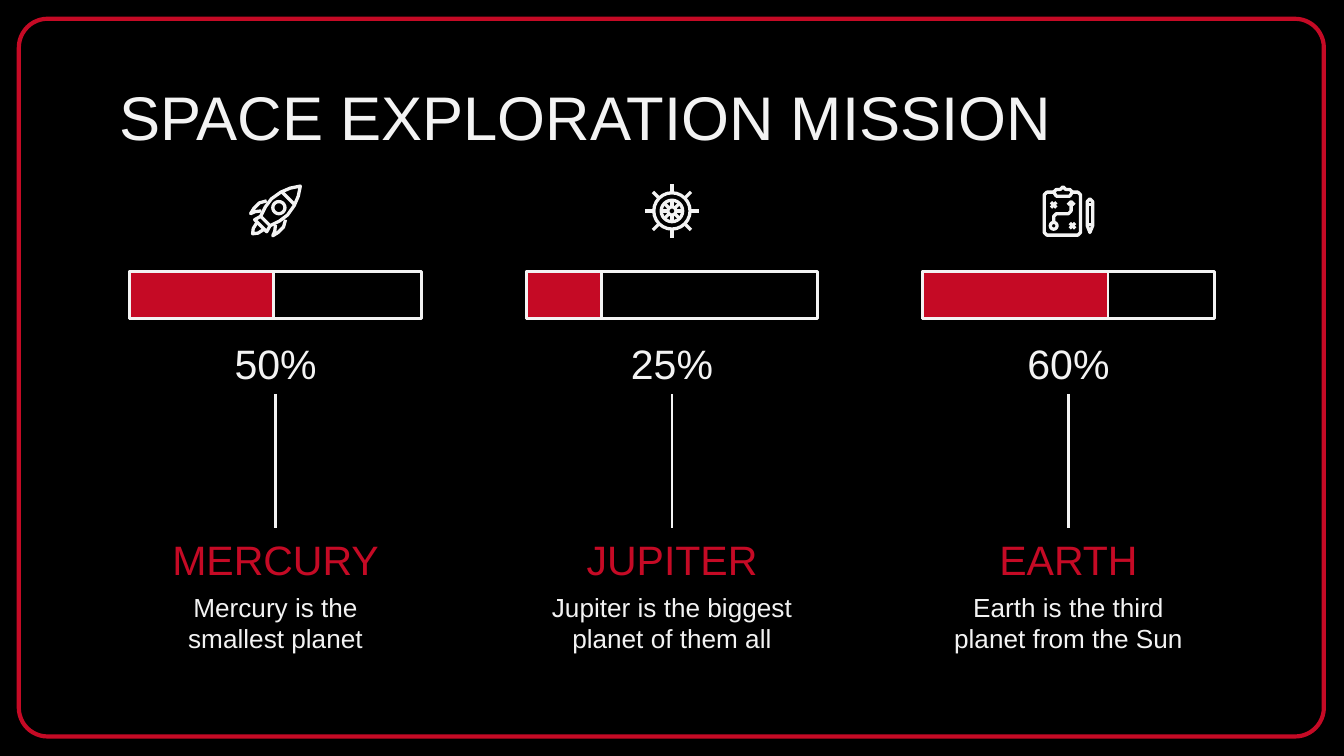
import math

import lxml.etree
import pptx
import pptx.dml.color
import pptx.enum.shapes
import pptx.enum.text
import pptx.oxml.ns
import pptx.util

Inches = pptx.util.Inches
Pt = pptx.util.Pt
SHAPE = pptx.enum.shapes.MSO_SHAPE
ANCHOR = pptx.enum.text.MSO_ANCHOR
ALIGN = pptx.enum.text.PP_ALIGN

BLACK, RED, WHITE = "000000", "C50A25", "F3F3F3"
FONT = "Arial"
ICON_Y = 1.57


def rgb(color):
    return pptx.dml.color.RGBColor.from_string(color)


class Builder:
    """Draws styled elements on one slide; positions are in inches."""

    def __init__(self, slide):
        self.s = slide

    def style(self, sp, fill, line, weight):
        sp.shadow.inherit = False
        if fill:
            sp.fill.solid()
            sp.fill.fore_color.rgb = rgb(fill)
        else:
            sp.fill.background()
        sp.line.color.rgb = rgb(line)
        sp.line.width = Pt(weight)

    def shape(self, kind, x, y, w, h, fill=None, line=WHITE, weight=1.5):
        sp = self.s.shapes.add_shape(kind, Inches(x), Inches(y), Inches(w), Inches(h))
        self.style(sp, fill, line, weight)
        return sp

    def text(self, text, x, y, w, h, size=22, color=WHITE, align=ALIGN.CENTER,
             anchor=ANCHOR.MIDDLE):
        sp = self.s.shapes.add_textbox(Inches(x), Inches(y), Inches(w), Inches(h))
        tf = sp.text_frame
        tf.word_wrap = True
        tf.vertical_anchor = anchor
        tf.margin_left = tf.margin_right = Inches(0.1)
        tf.margin_top = tf.margin_bottom = Inches(0.1)
        p = tf.paragraphs[0]
        p.alignment = align
        r = p.add_run()
        r.text = text
        r.font.name = FONT
        r.font.size = Pt(size)
        r.font.color.rgb = rgb(color)
        return sp

    def line(self, x1, y1, x2, y2, weight=1.5):
        c = self.s.shapes.add_connector(pptx.enum.shapes.MSO_CONNECTOR.STRAIGHT,
                                        Inches(x1), Inches(y1), Inches(x2), Inches(y2))
        c.line.color.rgb = rgb(WHITE)
        c.line.width = Pt(weight)
        lxml.etree.SubElement(c._element.spPr, pptx.oxml.ns.qn("a:effectLst"))
        return c

    def icon(self, parts, cx):
        """Draw each part, a list of strokes in 1/100 inch from the icon centre."""
        shapes = self.s.shapes.add_group_shape().shapes
        for strokes in parts:
            fb = None
            for stroke in strokes:
                pts = [(Inches(cx + x / 100), Inches(ICON_Y + y / 100))
                       for x, y in stroke]
                if fb is None:
                    fb = shapes.build_freeform(*pts[0], scale=1.0)
                else:
                    fb.move_to(*pts[0])
                fb.add_line_segments(pts[1:], close=stroke[0] == stroke[-1])
            self.style(fb.convert_to_shape(), None, WHITE, 1.75)


def polar(radius, turn, x=0, y=0):
    angle = turn * 2 * math.pi
    return x + radius * math.cos(angle), y + radius * math.sin(angle)


def circle(radius, x=0, y=0):
    points = [polar(radius, i / 24, x, y) for i in range(24)]
    return points + points[:1]


def spokes(start, end):
    return [[polar(start, i / 8), polar(end, i / 8)] for i in range(8)]


def cross(x, y):
    return [[(x - 2, y - d), (x + 2, y + d)] for d in (-2, 2)]


def mirrored(points):
    """Reflect points across the rocket's diagonal axis."""
    return [(-y, -x) for x, y in points]


def rocket():
    side = [(18.5, -18.5), (11, -17), (4, -14), (-3, -9), (-7.5, -3), (-11, 4)]
    fin = [(-6.5, -7.5), (-12, -6), (-16, -2), (-18.5, 2), (-15, 0.5), (-10.5, 0)]
    nozzle = [(-11, 4), (-15.5, 6.5)]
    flame = [(-14, 9), (-16.5, 13), (-17, 17), (-13, 16.5), (-9, 14)]
    nose = [(4.5, -14.5), (14.5, -4.5)]
    hull = [side + mirrored(side)[::-1], fin, mirrored(fin),
            nozzle + mirrored(nozzle)[::-1], flame, nose]
    return [hull, [circle(4.5, 2.5, -2.5)]]


def wheel():
    return [[circle(13.5)] + spokes(14, 20),
            [circle(8), circle(3)] + spokes(3, 8)]


def clipboard():
    sheet = [(3, -14), (7, -14), (9, -12), (9, 16), (7, 18), (-16, 18),
             (-18, 16), (-18, -12), (-16, -14), (-11, -14)]
    clip = [(-11, -14), (-9, -16), (-6, -16), (-4, -18), (-2, -16), (1, -16),
            (3, -14), (1, -11), (-9, -11), (-11, -14)]
    route = [(-11, 8), (-11, 4), (-9, 2), (0, 2), (2, 0), (2, -7)]
    arrow = [(-0.5, -4.5), (2, -7), (4.5, -4.5)]
    pencil = [(14, -7), (16, -9), (18, -7), (18, 11), (16, 16), (14, 11), (14, -7)]
    bands = [[(14, y), (18, y)] for y in (-5, 10)]
    return [[sheet, clip], cross(-11, -4.5), cross(3, 11),
            [circle(2.5, -11, 11), route, arrow], [pencil] + bands]


COLUMNS = [
    ("MERCURY", "Mercury is the smallest planet", "50%", 1.07, rocket()),
    ("JUPITER", "Jupiter is the biggest planet of them all", "25%", 0.56, wheel()),
    ("EARTH", "Earth is the third planet from the Sun", "60%", 1.38, clipboard()),
]
FIRST_CENTER, PITCH = 2.05, 2.95
TEXT_W, BAR_W = 2.02, 2.17


def main():
    prs = pptx.Presentation()
    prs.slide_width = Inches(10)
    prs.slide_height = prs.slide_width * 9 // 16
    s = prs.slides.add_slide(prs.slide_layouts[6])
    s.background.fill.solid()
    s.background.fill.fore_color.rgb = rgb(BLACK)
    b = Builder(s)

    frame = b.shape(SHAPE.ROUNDED_RECTANGLE, 0.14, 0.14, 9.71, 5.34,
                    line=RED, weight=2.25)
    frame.adjustments[0] = 0.04
    b.text("SPACE EXPLORATION MISSION", 0.79, 0.49, 8.43, 0.63, size=33,
           align=ALIGN.LEFT, anchor=ANCHOR.TOP)

    for i, (planet, description, percent, filled, parts) in enumerate(COLUMNS):
        cx = FIRST_CENTER + i * PITCH
        left = cx - TEXT_W / 2
        bar_left = cx - BAR_W / 2
        b.icon(parts, cx)
        b.shape(SHAPE.RECTANGLE, bar_left, 2.02, BAR_W, 0.35)
        b.shape(SHAPE.RECTANGLE, bar_left, 2.02, filled, 0.35, fill=RED)
        value = b.text(percent, left, 2.47, TEXT_W, 0.46)
        name = b.text(planet, left, 3.93, TEXT_W, 0.46, color=RED)
        b.text(description, left, 4.3, TEXT_W, 0.63, size=14, anchor=ANCHOR.TOP)
        stem = b.line(cx, 2.93, cx, 3.93)
        stem.begin_connect(value, 2)
        stem.end_connect(name, 0)

    prs.save("out.pptx")


if __name__ == "__main__":
    main()
